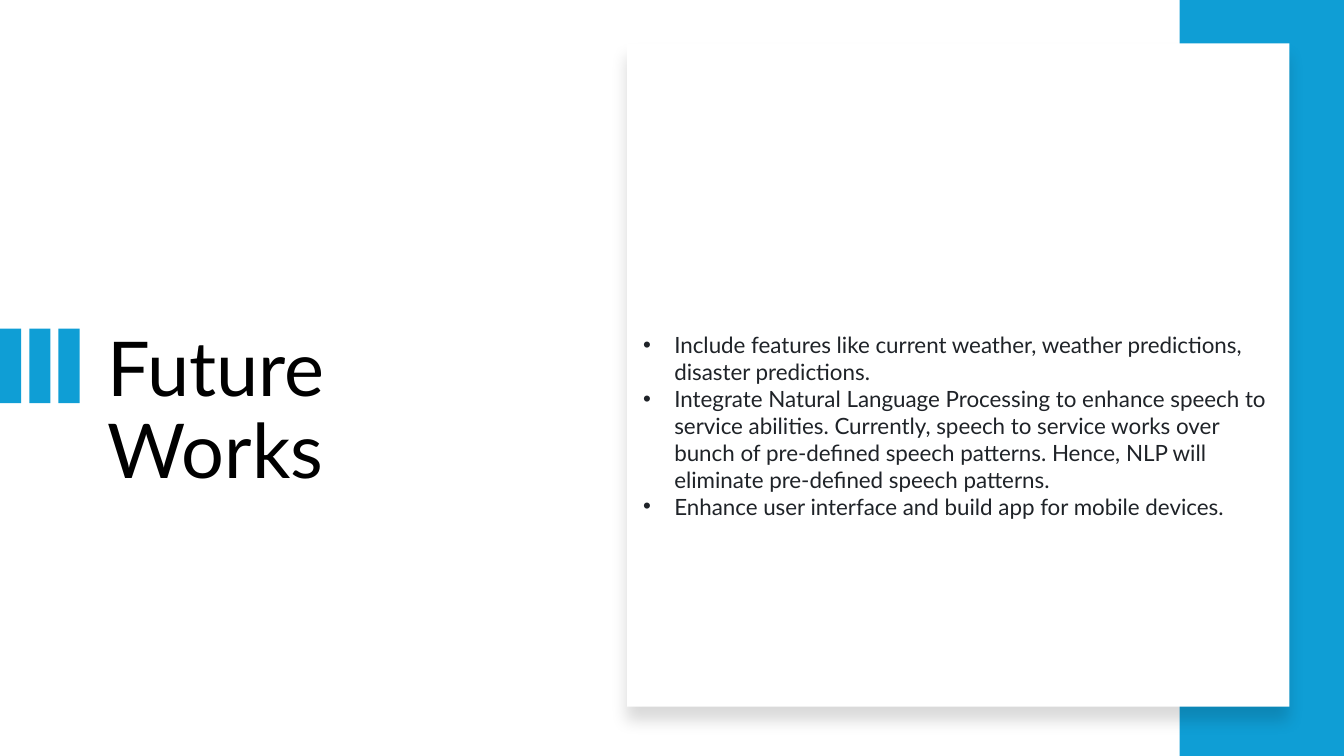
import lxml.etree
import pptx
import pptx.dml.color
import pptx.enum.shapes
import pptx.enum.text
import pptx.oxml.ns
import pptx.util

Inches = pptx.util.Inches
Pt = pptx.util.Pt
qn = pptx.oxml.ns.qn

TITLE = "Future Works"
FUTURE_WORKS = [
    "Include features like current weather, weather predictions, disaster predictions.",
    "Integrate Natural Language Processing to enhance speech to service abilities. "
    "Currently, speech to service works over bunch of pre-defined speech patterns. "
    "Hence, NLP will eliminate pre-defined speech patterns.",
    "Enhance user interface and build app for mobile devices.",
]

THEME = {
    "font": "Lato",
    "accent": "0F9ED5",
    "card": "FFFFFF",
    "shadow": "000000",
    "title": "000000",
    "body": "1F2328",
    "title_size": 54,
    "body_size": 16,
}
SLIDE_WIDTH, SLIDE_HEIGHT = 13.33, 7.5
STRIPE_COUNT, STRIPE_PITCH = 3, 0.29
BULLET_INDENT = 0.31


def theme_color(role):
    return pptx.dml.color.RGBColor.from_string(THEME[role])


def add_rectangle(page, left, top, width, height, role):
    box = page.shapes.add_shape(
        pptx.enum.shapes.MSO_SHAPE.RECTANGLE,
        Inches(left), Inches(top), Inches(width), Inches(height))
    box.shadow.inherit = False
    box.fill.solid()
    box.fill.fore_color.rgb = theme_color(role)
    box.line.fill.background()
    return box


def add_soft_shadow(box, opacity, blur, distance, angle):
    """Opacity in percent, blur and distance in points, angle in degrees."""
    effects = box._element.spPr.find(qn("a:effectLst"))
    shadow = lxml.etree.SubElement(
        effects, qn("a:outerShdw"), blurRad=str(Pt(blur)), dist=str(Pt(distance)),
        dir=str(angle * 60000), algn="t", rotWithShape="0")
    color = lxml.etree.SubElement(shadow, qn("a:srgbClr"), val=THEME["shadow"])
    lxml.etree.SubElement(color, qn("a:alpha"), val=str(opacity * 1000))


def add_text_frame(page, left, top, width, height):
    box = page.shapes.add_textbox(Inches(left), Inches(top), Inches(width), Inches(height))
    frame = box.text_frame
    frame.word_wrap = True
    frame.vertical_anchor = pptx.enum.text.MSO_ANCHOR.TOP
    return frame


def add_span(para, text, role):
    span = para.add_run()
    span.text = text
    span.font.name = THEME["font"]
    span.font.size = Pt(THEME[role + "_size"])
    span.font.color.rgb = theme_color(role)


def add_bullet(para):
    properties = para._p.get_or_add_pPr()
    properties.set("marL", str(Inches(BULLET_INDENT)))
    properties.set("indent", str(-Inches(BULLET_INDENT)))
    lxml.etree.SubElement(properties, qn("a:buFont"), typeface="Arial")
    lxml.etree.SubElement(properties, qn("a:buChar"), char="•")


def main():
    deck = pptx.Presentation()
    deck.slide_width, deck.slide_height = Inches(SLIDE_WIDTH), Inches(SLIDE_HEIGHT)
    page = deck.slides.add_slide(deck.slide_layouts[6])

    title_frame = add_text_frame(page, 0.97, 3.24, 4.67, 2.61)
    title_frame.margin_right = Inches(0.6)
    title_para = title_frame.paragraphs[0]
    title_para.line_spacing = 0.9
    add_span(title_para, TITLE, "title")

    for index in range(STRIPE_COUNT):
        add_rectangle(page, index * STRIPE_PITCH, 3.26, 0.21, 0.74, "accent")

    add_rectangle(page, 11.7, 0, SLIDE_WIDTH - 11.7, SLIDE_HEIGHT, "accent")
    card = add_rectangle(page, 6.22, 0.43, 6.57, 6.58, "card")
    add_soft_shadow(card, opacity=15, blur=11, distance=10, angle=90)

    body_frame = add_text_frame(page, 6.28, 3.24, 6.47, 1.99)
    for index, text in enumerate(FUTURE_WORKS):
        para = body_frame.add_paragraph() if index else body_frame.paragraphs[0]
        add_bullet(para)
        add_span(para, text, "body")

    deck.save("out.pptx")


if __name__ == "__main__":
    main()
